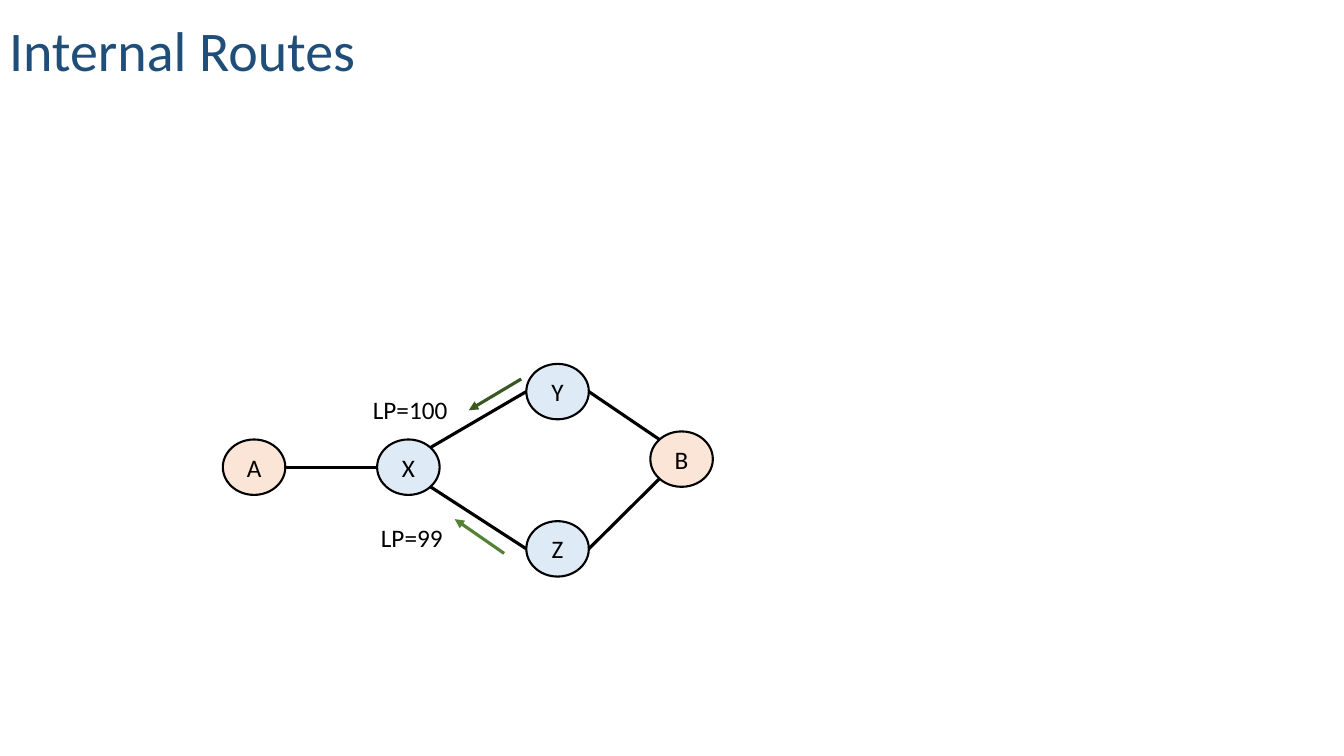
from math import cos, radians, sin

from lxml import etree
from pptx import Presentation
from pptx.dml.color import RGBColor
from pptx.enum.shapes import MSO_CONNECTOR, MSO_SHAPE
from pptx.enum.text import MSO_ANCHOR, PP_ALIGN
from pptx.oxml.ns import qn
from pptx.util import Inches, Pt

FONT = "Calibri"
BLACK, NAVY = "000000", "1F4E79"
PEACH, PALE_BLUE = "FBE5D6", "DEEBF7"
DARK_GREEN, GREEN = "385723", "548235"
NODE_W, NODE_H = 0.62, 0.55

# Positions are relative to the top left corner of the diagram
NODES = {  # name: left, top, fill
    "A": (0, 0.75, PEACH),
    "X": (1.53, 0.75, PALE_BLUE),
    "Y": (3.01, 0, PALE_BLUE),
    "Z": (3.01, 1.56, PALE_BLUE),
    "B": (4.24, 0.67, PEACH),
}
LINKS = [  # node and angle on its rim (clockwise from the right), at both ends
    ("A", 0, "X", 180),
    ("X", -45, "Y", 180),
    ("Y", 0, "B", -135),
    ("X", 45, "Z", 180),
    ("Z", 0, "B", 135),
]
ROUTES = [  # label, its left and top, arrow start, arrow end, arrow colour
    ("LP=100", (1.39, 0.29), (2.96, 0.15), (2.44, 0.46), DARK_GREEN),
    ("LP=99", (1.47, 1.56), (2.79, 1.88), (2.3, 1.54), GREEN),
]


def rgb(value):
    return RGBColor.from_string(value)


def style(p, size, color):
    p.font.name = FONT
    p.font.size = Pt(size)
    p.font.color.rgb = rgb(color)


def add_title(s, left, top, width, height):
    title = s.shapes.title
    title.left, title.top = Inches(left), Inches(top)
    title.width, title.height = Inches(width), Inches(height)
    tf = title.text_frame
    tf.text = "Internal Routes"
    tf.vertical_anchor = MSO_ANCHOR.BOTTOM
    p = tf.paragraphs[0]
    p.alignment = PP_ALIGN.LEFT
    p.line_spacing = 0.9
    style(p, 40, NAVY)


def add_line(s, start, end, color, arrow=False):
    line = s.shapes.add_connector(
        MSO_CONNECTOR.STRAIGHT, *(Inches(v) for v in (*start, *end)))
    line.line.color.rgb = rgb(color)
    line.line.width = Pt(2.25)
    if arrow:
        etree.SubElement(line.line._get_or_add_ln(), qn("a:tailEnd"), type="triangle")
    etree.SubElement(line._element.spPr, qn("a:effectLst"))


def add_node(s, name, left, top, fill):
    sp = s.shapes.add_shape(MSO_SHAPE.OVAL, Inches(left), Inches(top),
                            Inches(NODE_W), Inches(NODE_H))
    sp.shadow.inherit = False
    sp.fill.solid()
    sp.fill.fore_color.rgb = rgb(fill)
    sp.line.color.rgb = rgb(BLACK)
    sp.line.width = Pt(1.5)
    tf = sp.text_frame
    tf.margin_left = tf.margin_right = tf.margin_top = tf.margin_bottom = 0
    tf.vertical_anchor = MSO_ANCHOR.MIDDLE
    tf.text = name
    p = tf.paragraphs[0]
    p.alignment = PP_ALIGN.CENTER
    style(p, 18, BLACK)


def add_label(s, text, left, top):
    box = s.shapes.add_textbox(Inches(left), Inches(top), Inches(1), Inches(0.39))
    tf = box.text_frame
    tf.word_wrap = True
    tf.text = text
    p = tf.paragraphs[0]
    p.line_spacing = 0.9
    style(p, 18, BLACK)


def add_network(s, left, top):
    def place(point):
        return left + point[0], top + point[1]

    def rim(name, angle):
        x, y = place(NODES[name][:2])
        return (x + NODE_W / 2 * (1 + cos(radians(angle))),
                y + NODE_H / 2 * (1 + sin(radians(angle))))

    # Nodes
    for name, (x, y, fill) in NODES.items():
        add_node(s, name, *place((x, y)), fill)
    # Links between nodes
    for first, angle1, second, angle2 in LINKS:
        add_line(s, rim(first, angle1), rim(second, angle2), BLACK)
    # Route announcements with local preference
    for text, corner, start, end, color in ROUTES:
        add_label(s, text, *place(corner))
        add_line(s, place(start), place(end), color, arrow=True)


def main():
    prs = Presentation()
    prs.slide_width, prs.slide_height = Inches(13.33), Inches(7.5)
    s = prs.slides.add_slide(prs.slide_layouts[5])
    add_title(s, -0.01, -0.05, 8.74, 0.93)
    add_network(s, 2.21, 3.61)
    prs.save("out.pptx")


if __name__ == "__main__":
    main()
